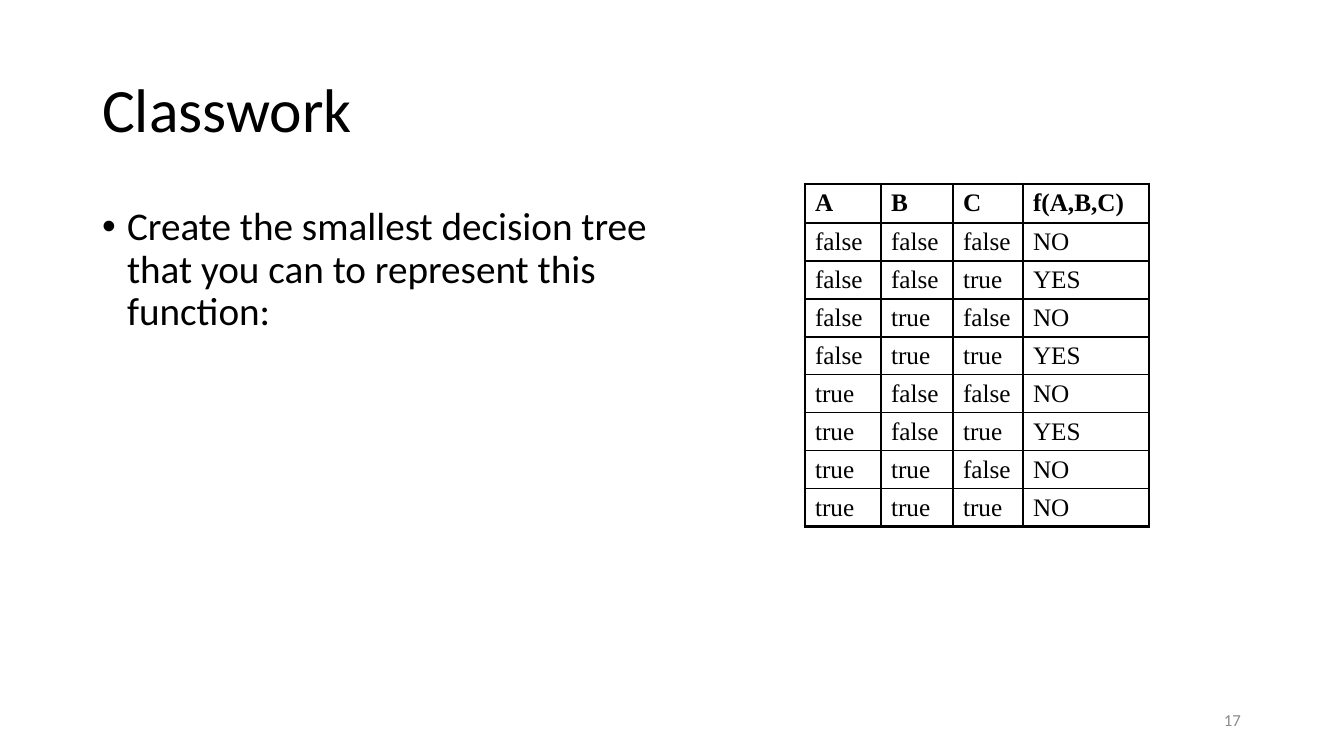
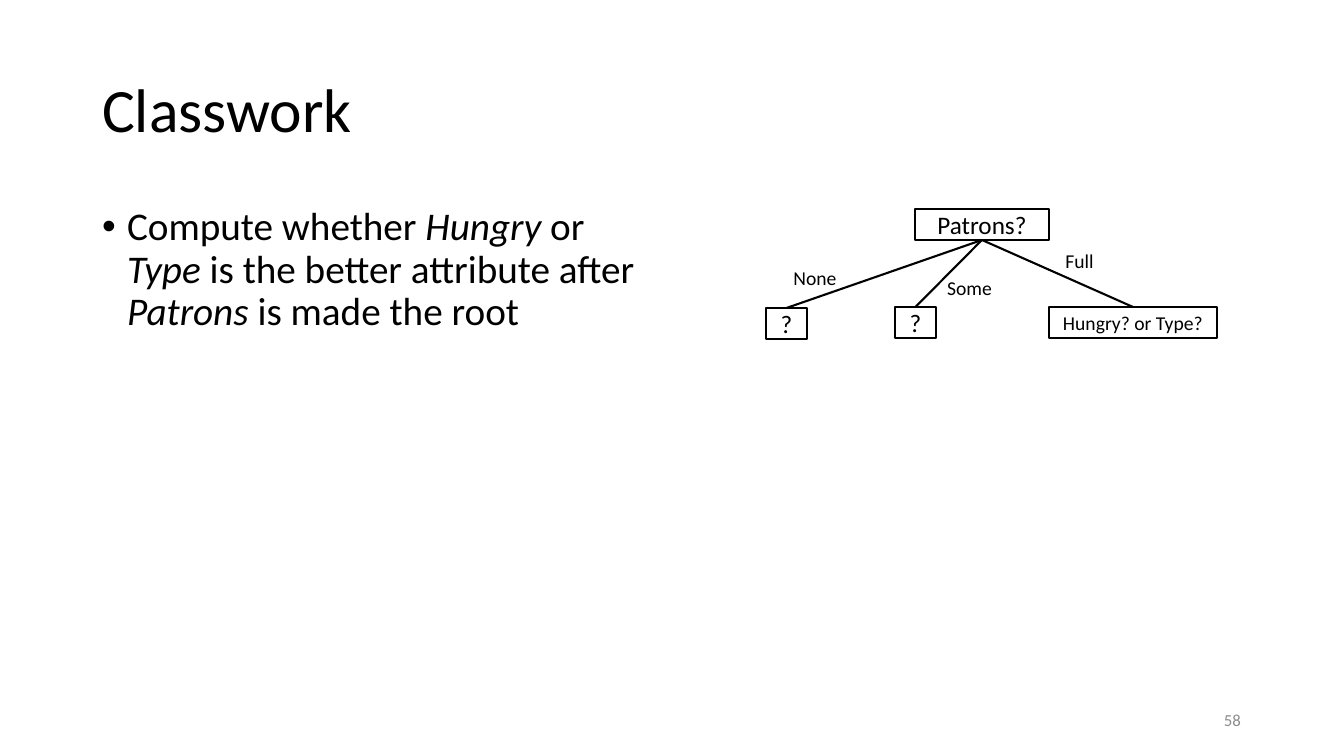
from lxml.etree import SubElement
from pptx import Presentation
from pptx.dml.color import RGBColor
from pptx.enum.shapes import MSO_CONNECTOR, MSO_SHAPE
from pptx.enum.text import MSO_ANCHOR, MSO_AUTO_SIZE, PP_ALIGN
from pptx.oxml.ns import qn
from pptx.util import Pt

EMU_PER_PX = 914400 / 100.8


def px(length):
    return round(length * EMU_PER_PX)


def color(code):
    return RGBColor.from_string(code)


def apply(target, values):
    for name, value in values.items():
        setattr(target, name, value)


class ClassworkDeck:
    INK = "000000"
    GRAY = "8C8C8C"
    SANS = "Calibri"
    SERIF = "Times New Roman"
    OUTER, INNER, STROKE = 2.25, 1, 1.5
    TITLE_AREA = (92, 40, 1159, 146)
    BODY_AREA = (92, 202, 571, 480)
    NUMBER_AREA = (949, 700, 302, 40)
    FRAME = {"word_wrap": True, "auto_size": MSO_AUTO_SIZE.NONE}
    TIGHT = {"margin_left": 0, "margin_right": 0, "margin_top": 0, "margin_bottom": 0}
    LIST_PARA = {"alignment": PP_ALIGN.LEFT, "line_spacing": 0.9, "space_before": Pt(0)}

    def __init__(self):
        self.deck = Presentation()
        apply(self.deck, {"slide_width": px(1344), "slide_height": px(756)})
        self.page = None

    def place(self, box, area):
        apply(box, dict(zip(("left", "top", "width", "height"), map(px, area))))

    def add_span(self, para, text, size, font=SANS, ink=INK, **style):
        span = para.add_run()
        span.text = text
        apply(span.font, {"name": font, "size": Pt(size), **style})
        span.font.color.rgb = color(ink)

    def add_page(self, title, number):
        self.page = self.deck.slides.add_slide(self.deck.slide_layouts[1])
        box = self.page.shapes.title
        self.place(box, self.TITLE_AREA)
        apply(box.text_frame, {**self.FRAME, "vertical_anchor": MSO_ANCHOR.MIDDLE})
        para = box.text_frame.paragraphs[0]
        apply(para, self.LIST_PARA)
        self.add_span(para, title, 44)
        self.add_text(self.NUMBER_AREA, number, 12, PP_ALIGN.RIGHT, self.GRAY, {})

    def add_bullet(self, spans):
        box = self.page.placeholders[1]
        self.place(box, self.BODY_AREA)
        apply(box.text_frame, {**self.FRAME, "vertical_anchor": MSO_ANCHOR.TOP})
        para = box.text_frame.paragraphs[0]
        properties = para._p.get_or_add_pPr()
        properties.set("marL", str(px(25)))
        properties.set("indent", str(px(-25)))
        SubElement(properties, qn("a:buFont")).set("typeface", "Arial")
        SubElement(properties, qn("a:buChar")).set("char", "•")
        apply(para, self.LIST_PARA)
        for text, italic in spans:
            self.add_span(para, text, 28, italic=italic)

    def fill_frame(self, box, text, size, alignment, ink, margins):
        apply(box.text_frame, {**self.FRAME, **margins, "vertical_anchor": MSO_ANCHOR.MIDDLE})
        para = box.text_frame.paragraphs[0]
        para.alignment = alignment
        self.add_span(para, text, size, ink=ink)

    def add_text(self, area, text, size, alignment=PP_ALIGN.CENTER, ink=INK, margins=TIGHT):
        box = self.page.shapes.add_textbox(*map(px, area))
        self.fill_frame(box, text, size, alignment, ink, margins)

    def add_node(self, area, text, size=18):
        box = self.page.shapes.add_shape(MSO_SHAPE.RECTANGLE, *map(px, area))
        box.shadow.inherit = False
        box.fill.background()
        self.stroke(box.line)
        self.fill_frame(box, text, size, PP_ALIGN.CENTER, self.INK, self.TIGHT)
        return box

    def stroke(self, line):
        line.color.rgb = color(self.INK)
        line.width = Pt(self.STROKE)

    def add_branch(self, parent, child):
        branch = self.page.shapes.add_connector(MSO_CONNECTOR.STRAIGHT, 0, 0, 0, 0)
        branch.begin_connect(parent, 2)
        branch.end_connect(child, 0)
        self.stroke(branch.line)
        SubElement(branch._element.spPr, qn("a:effectLst"))

    def add_border(self, cell, side, width):
        border = SubElement(cell._tc.get_or_add_tcPr(), qn(f"a:ln{side}"))
        border.set("w", str(Pt(width)))
        fill = SubElement(border, qn("a:solidFill"))
        SubElement(fill, qn("a:srgbClr")).set("val", self.INK)

    def add_table(self, left, top, widths, heights, rows):
        area = (left, top, sum(widths), sum(heights))
        table = self.page.shapes.add_table(len(rows), len(widths), *map(px, area)).table
        apply(table, {"first_row": False, "horz_banding": False})
        for column, width in zip(table.columns, widths):
            column.width = px(width)
        for row, height in zip(table.rows, heights):
            row.height = px(height)
        for r, values in enumerate(rows):
            for c, value in enumerate(values):
                cell = table.cell(r, c)
                edges = {"L": c == 0, "R": c == len(widths) - 1,
                         "T": r == 0, "B": r == len(rows) - 1}
                for side, outside in edges.items():
                    self.add_border(cell, side, self.OUTER if outside else self.INNER)
                cell.fill.background()
                apply(cell, {"margin_top": px(5), "margin_bottom": px(3)})
                self.add_span(cell.text_frame.paragraphs[0], value, 18, self.SERIF, bold=r == 0)


def truth_table_page(deck):
    deck.add_page("Classwork", "17")
    deck.add_bullet([
        ("Create the smallest decision tree that you can to represent this function:", False)])
    results = ["NO", "YES", "NO", "YES", "NO", "YES", "NO", "NO"]
    rows = [["A", "B", "C", "f(A,B,C)"]]
    for index, result in enumerate(results):
        inputs = ["true" if index & bit else "false" for bit in (4, 2, 1)]
        rows.append(inputs + [result])
    deck.add_table(805, 184, [76, 72, 70, 126], [39] + [38] * len(results), rows)


def decision_tree_page(deck):
    deck.add_page("Classwork", "58")
    deck.add_bullet([
        ("Compute whether ", False), ("Hungry", True), (" or ", False), ("Type", True),
        (" is the better attribute after ", False), ("Patrons", True),
        (" is made the root", False)])
    root = deck.add_node((915, 209, 134, 31), "Patrons?")
    branches = [
        ((766, 308, 41, 31), "?", 18, (748, 262, 134, 31), "None"),
        ((895, 307, 41, 31), "?", 18, (936, 272, 67, 31), "Some"),
        ((1049, 307, 168, 31), "Hungry? or Type?", 14, (1046, 245, 67, 31), "Full"),
    ]
    for area, text, size, label_area, label in branches:
        deck.add_branch(root, deck.add_node(area, text, size))
        deck.add_text(label_area, label, 14)


def main():
    classwork = ClassworkDeck()
    truth_table_page(classwork)
    decision_tree_page(classwork)
    classwork.deck.save("out.pptx")


if __name__ == "__main__":
    main()
